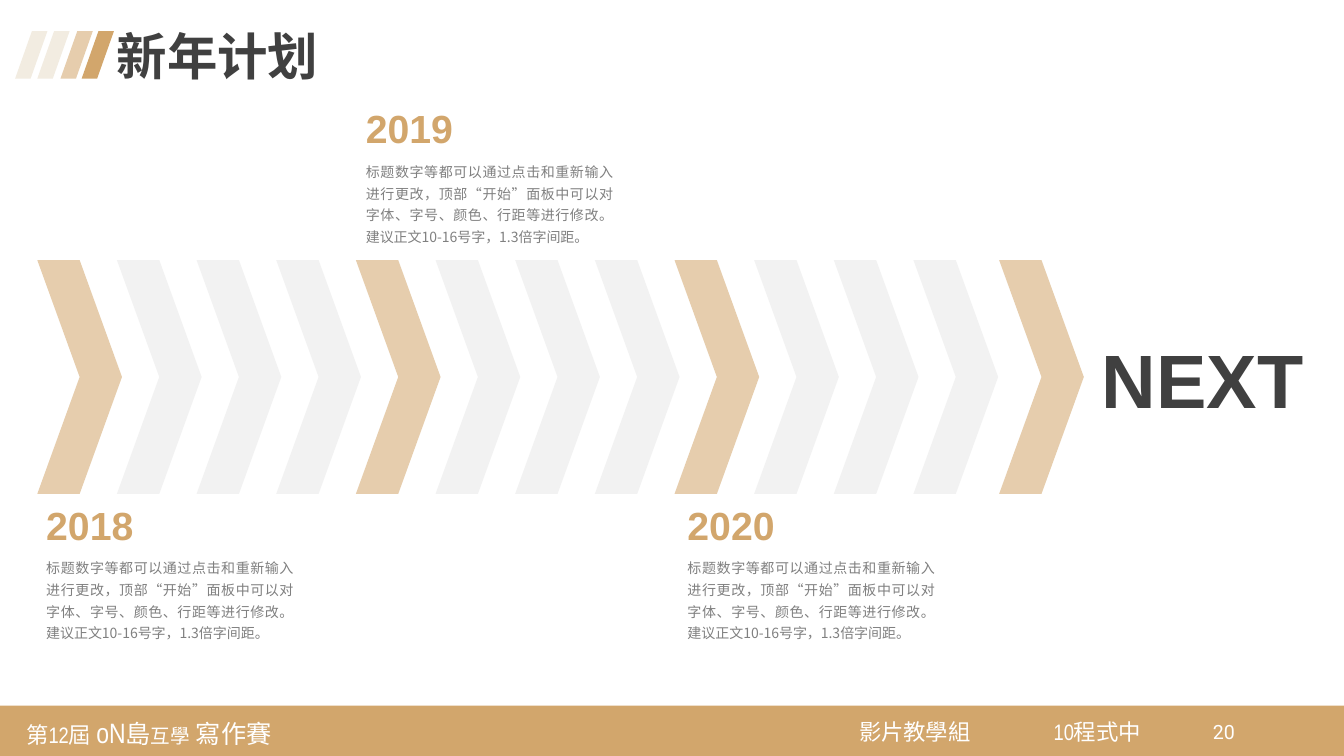
from lxml import etree
from pptx import Presentation
from pptx.dml.color import RGBColor
from pptx.enum.shapes import MSO_SHAPE
from pptx.enum.text import MSO_ANCHOR, MSO_AUTO_SIZE, PP_ALIGN
from pptx.oxml.ns import qn
from pptx.util import Inches, Pt

RECTANGLE = MSO_SHAPE.RECTANGLE
PARALLELOGRAM = MSO_SHAPE.PARALLELOGRAM
CHEVRON = MSO_SHAPE.CHEVRON
MIDDLE = MSO_ANCHOR.MIDDLE
JUSTIFY = PP_ALIGN.JUSTIFY
GROW = MSO_AUTO_SIZE.SHAPE_TO_FIT_TEXT

GOLD = RGBColor(0xD2, 0xA6, 0x6C)
SAND = RGBColor(0xE6, 0xCD, 0xAD)
CREAM = RGBColor(0xF2, 0xEC, 0xE1)
PALE = RGBColor(0xF2, 0xF2, 0xF2)
GRAY = RGBColor(0x80, 0x80, 0x80)
DARK = RGBColor(0x40, 0x40, 0x40)
WHITE = RGBColor(0xFF, 0xFF, 0xFF)

HEADING_FONT = "Arial"
FOOTER_FONT = "Arial Narrow"
CJK_FONT = "Noto Sans CJK SC"

BODY = (
    "标题数字等都可以通过点击和重新输入进行更改，顶部“开始”面板中可以对"
    "字体、字号、颜色、行距等进行修改。建议正文10-16号字，1.3倍字间距。"
)
MILESTONES = [("2018", 0.36, 4.92), ("2020", 6.72, 4.92), ("2019", 3.53, 0.99)]
TITLE_STRIPES = [(0.81, GOLD), (0.6, SAND), (0.37, CREAM), (0.15, CREAM)]
CHEVRON_COUNT = 13
CHEVRON_STEP = 0.79


class SlideBuilder:
    def __init__(self, page):
        self.page = page

    def shape(self, kind, left, top, width, height, color):
        shape = self.page.shapes.add_shape(
            kind, Inches(left), Inches(top), Inches(width), Inches(height)
        )
        shape.shadow.inherit = False
        shape.fill.solid()
        shape.fill.fore_color.rgb = color
        shape.line.fill.background()
        return shape

    def text(self, spans, left, top, width, height, color, font=HEADING_FONT,
             size=None, bold=False, wrap=True, align=None, spacing=None):
        """Add a one-paragraph box; spans is a string or (text, size) pairs."""
        box = self.page.shapes.add_textbox(
            Inches(left), Inches(top), Inches(width), Inches(height)
        )
        frame = box.text_frame
        frame.word_wrap = wrap
        frame.auto_size = GROW
        para = frame.paragraphs[0]
        para.alignment = align
        para.line_spacing = spacing
        para.font.name = font
        para.font.bold = bold
        para.font.color.rgb = color
        east_asian = etree.SubElement(para.font._rPr, qn("a:ea"))
        east_asian.set("typeface", CJK_FONT)
        if isinstance(spans, str):
            para.font.size = Pt(size)
            para.add_run().text = spans
        else:
            for words, points in spans:
                span = para.add_run()
                span.text = words
                span.font.size = Pt(points)
        return box

    def footer_text(self, spans, left, top, width, height):
        box = self.text(spans, left, top, width, height, WHITE, FOOTER_FONT, 16)
        frame = box.text_frame
        frame.vertical_anchor = MIDDLE
        frame.margin_left = frame.margin_right = Inches(0.08)
        frame.margin_top = frame.margin_bottom = Inches(0.08)

    def footer(self):
        self.shape(RECTANGLE, 0, 7, 13.33, 0.5, GOLD)
        contest = [("第12屆 ", 16), ("oN", 20), ("島", 18), ("互學", 14), (" 寫作賽", 18)]
        self.footer_text(contest, 0.18, 7.02, 2.83, 0.49)
        self.footer_text("影片教學組", 8.44, 7.04, 1.33, 0.43)
        self.footer_text("10程式中", 10.37, 7.04, 1.33, 0.43)
        self.text("20", 11.93, 7.09, 0.42, 0.41, WHITE, "Roboto", 14)

    def title(self, words):
        for left, color in TITLE_STRIPES:
            stripe = self.shape(PARALLELOGRAM, left, 0.31, 0.32, 0.47, color)
            stripe.adjustments[0] = 0.52
        self.text(words, 1.06, 0.27, 2.94, 0.65, DARK, size=36, bold=True, spacing=0.9)

    def timeline(self):
        for index in range(CHEVRON_COUNT):
            left = 0.37 + index * CHEVRON_STEP
            if index == CHEVRON_COUNT - 1:
                left = 9.91
            color = PALE if index % 4 else SAND
            self.shape(CHEVRON, left, 2.58, 0.84, 2.32, color)
        self.text("NEXT", 10.83, 3.25, 2.22, 1.01, DARK, size=54, bold=True,
                  wrap=False, align=JUSTIFY)

    def milestone(self, year, left, top):
        self.text(year, left, top, 1.08, 0.57, GOLD, size=28, bold=True, wrap=False)
        self.text(BODY, left, top + 0.53, 2.65, 0.98, GRAY, CJK_FONT, 10,
                  align=JUSTIFY, spacing=1.3)


def main():
    deck = Presentation()
    deck.slide_width = Inches(13.33)
    deck.slide_height = Inches(7.5)
    builder = SlideBuilder(deck.slides.add_slide(deck.slide_layouts[6]))
    builder.footer()
    builder.title("新年计划")
    builder.timeline()
    for year, left, top in MILESTONES:
        builder.milestone(year, left, top)
    deck.save("out.pptx")


if __name__ == "__main__":
    main()
